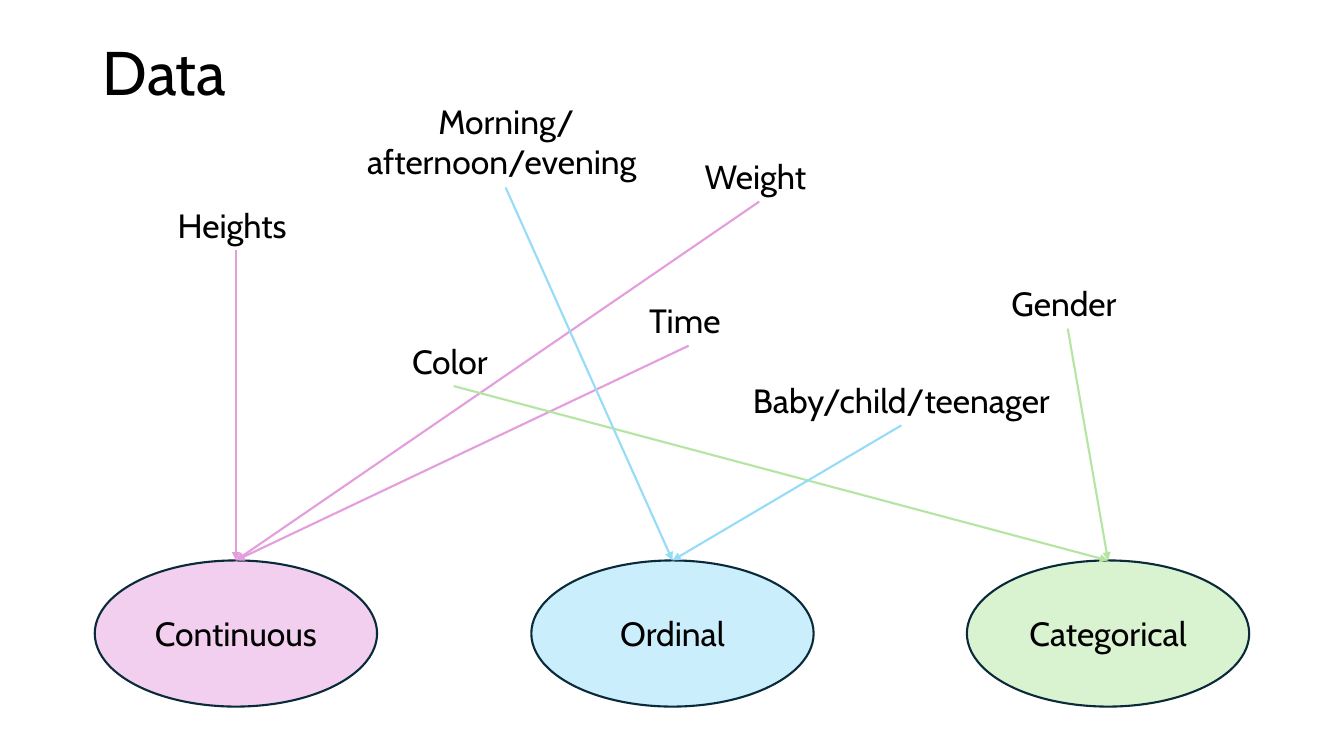
from pptx import Presentation
from pptx.dml.color import RGBColor
from pptx.enum.shapes import MSO_CONNECTOR as Connector, MSO_SHAPE as Shape
from pptx.enum.text import MSO_ANCHOR as Anchor, MSO_AUTO_SIZE as AutoSize, PP_ALIGN as Align
from pptx.oxml.ns import qn
from pptx.util import Inches, Pt
from lxml import etree


def color(hex_code):
    return RGBColor.from_string(hex_code)


def write(box, text, size=24, align=Align.CENTER, anchor=Anchor.MIDDLE):
    frame = box.text_frame
    frame.word_wrap = True
    frame.vertical_anchor = anchor
    frame.text = text
    para = frame.paragraphs[0]
    para.alignment = align
    span = para.runs[0]
    span.font.name = "Cabin"
    span.font.size = Pt(size)
    span.font.color.rgb = color("000000")


deck = Presentation()
deck.slide_width, deck.slide_height = Inches(13.33), Inches(7.5)
page = deck.slides.add_slide(deck.slide_layouts[6])

# Title
title = page.shapes.add_textbox(Inches(0.92), Inches(0.02), Inches(11.5), Inches(1.45))
write(title, "Data", 44, Align.LEFT)
title.text_frame.paragraphs[0].line_spacing = 0.9

# Data types: name, left, fill, arrow color
data_types = [
    ("Continuous", 0.94, "F2CFEE", "E59EDD"),
    ("Ordinal", 5.27, "CAEEFB", "96DCF8"),
    ("Categorical", 9.59, "D9F2D0", "B4E5A2"),
]
targets = {}
for name, left, fill, arrow_color in data_types:
    ellipse = page.shapes.add_shape(
        Shape.OVAL, Inches(left), Inches(5.56), Inches(2.8), Inches(1.45))
    ellipse.shadow.inherit = False
    ellipse.fill.solid()
    ellipse.fill.fore_color.rgb = color(fill)
    ellipse.line.color.rgb = color("092A39")
    ellipse.line.width = Pt(1.5)
    write(ellipse, name)
    targets[name] = (ellipse, arrow_color)

# Examples: text, left, top, width, height, data type
examples = [
    ("Heights ", 1.34, 1.98, 2, 0.5, "Continuous"),
    ("Time ", 5.83, 2.93, 2, 0.5, "Continuous"),
    ("Weight ", 6.53, 1.5, 2, 0.5, "Continuous"),
    ("Color ", 3.5, 3.33, 2, 0.5, "Categorical"),
    ("Gender ", 9.59, 2.76, 2, 0.5, "Categorical"),
    ("Morning/afternoon/evening ", 3.5, 0.95, 3.03, 0.91, "Ordinal"),
    ("Baby/child/teenager", 7.29, 3.72, 3.3, 0.5, "Ordinal"),
]
for text, left, top, width, height, data_type in examples:
    label = page.shapes.add_textbox(
        Inches(left), Inches(top), Inches(width), Inches(height))
    write(label, text, anchor=Anchor.TOP)
    label.text_frame.auto_size = AutoSize.SHAPE_TO_FIT_TEXT

    # Arrow from the example down to its data type
    ellipse, arrow_color = targets[data_type]
    arrow = page.shapes.add_connector(Connector.STRAIGHT, 0, 0, 0, 0)
    arrow.begin_connect(label, 2)
    arrow.end_connect(ellipse, 0)
    arrow.line.color.rgb = color(arrow_color)
    arrow.line.width = Pt(1.5)
    etree.SubElement(arrow.line._get_or_add_ln(), qn("a:tailEnd"), type="triangle")
    etree.SubElement(arrow._element.spPr, qn("a:effectLst"))

deck.save("out.pptx")
